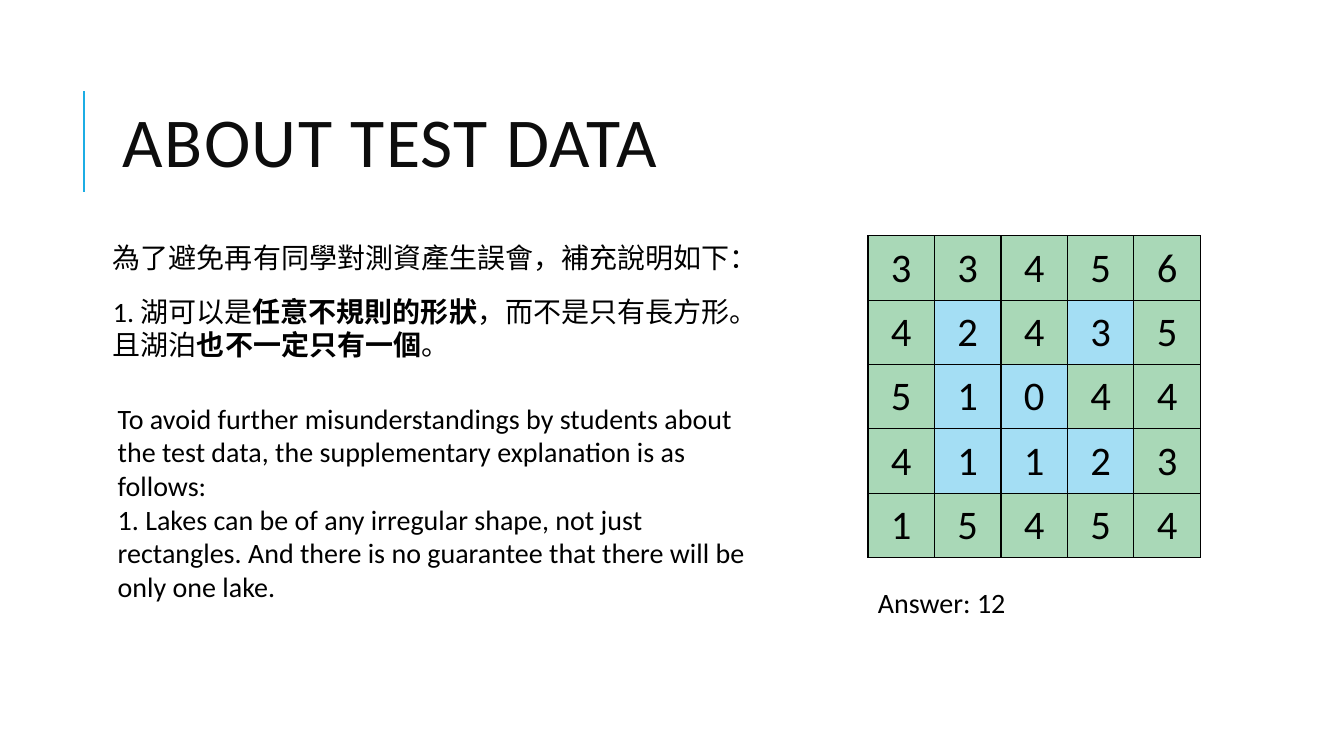
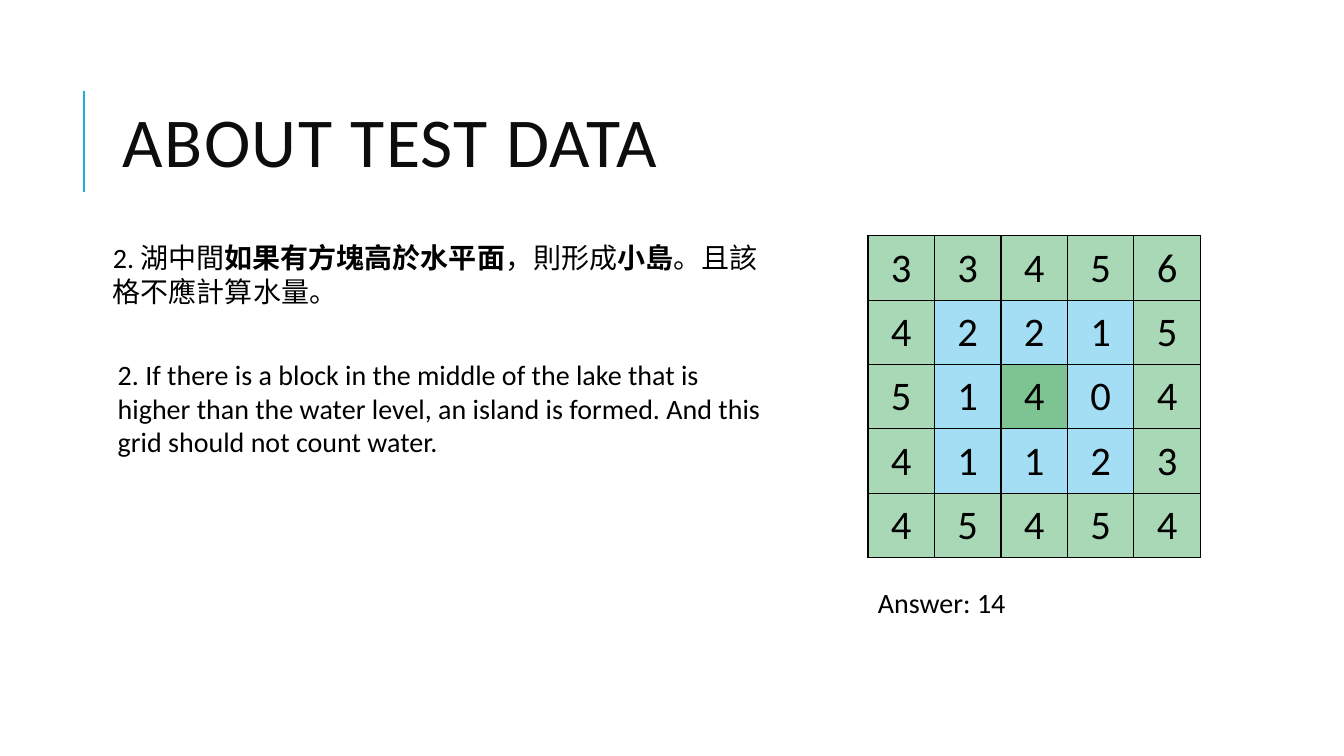
"""Build two slides that explain the lake test data."""
import dataclasses
import typing

import lxml.etree
import pptx
import pptx.dml.color
import pptx.enum.shapes
import pptx.enum.text
import pptx.oxml.ns
import pptx.slide
import pptx.table
import pptx.text.text
import pptx.util

Pt = pptx.util.Pt
Anchor = pptx.enum.text.MSO_ANCHOR
COLORS = {"accent": "1CADE4", "title": "0D0D0D", "text": "000000",
          "land": "A9D8B7", "water": "A4DEF4", "island": "7EC492"}
TERRAIN = {"L": "land", "W": "water", "I": "island"}
FONT = "Calibri"
LEFT, TEXT_WIDTH = 77, 480
GRID_LEFT, CONTENT_TOP = 620, 168.5
COLUMN_WIDTH, ROW_HEIGHT = 47.5, 45.95


@dataclasses.dataclass(frozen=True)
class Span:
    """A piece of text in one weight."""
    text: str
    bold: bool = False


Paragraph = list[Span]


@dataclasses.dataclass(frozen=True)
class TextBlock:
    """A text box with its place and its formats."""
    left: float
    top: float
    width: float
    height: float
    paragraphs: list[Paragraph]
    size: float = 20
    color: str = "text"
    spacing: int = 0
    frame_format: dict[str, typing.Any] = dataclasses.field(default_factory=dict)
    paragraph_format: dict[str, typing.Any] = dataclasses.field(default_factory=dict)


@dataclasses.dataclass(frozen=True)
class Example:
    """The content of one slide."""
    chinese: list[Paragraph]
    chinese_height: float
    english: list[str]
    english_top: float
    english_height: float
    heights: list[str]
    terrain: list[str]
    answer: int


MARGINS = {f"margin_{side}": Pt(3.6) for side in ("left", "top", "right", "bottom")}
CELL_FORMAT = {"margin_left": Pt(10.8), "margin_right": Pt(10.8),
               "margin_top": Pt(5.4), "margin_bottom": Pt(5.4),
               "vertical_anchor": Anchor.MIDDLE}
GROWING = {"auto_size": pptx.enum.text.MSO_AUTO_SIZE.SHAPE_TO_FIT_TEXT}
TITLE = TextBlock(80.6, 46, 765.5, 118, [[Span("ABOUT TEST DATA")]], size=50,
                  color="title", spacing=100,
                  frame_format={"vertical_anchor": Anchor.MIDDLE},
                  paragraph_format={"line_spacing": 0.8})

EXAMPLES = [
    Example(
        chinese=[
            [Span("為了避免再有同學對測資產生誤會，補充說明如下：")],
            [Span("1. 湖可以是"), Span("任意不規則的形狀", True),
             Span("，而不是只有長方形。且湖泊"), Span("也不一定只有一個", True), Span("。")],
        ],
        chinese_height=101.5,
        english=[
            "To avoid further misunderstandings by students about the test data, "
            "the supplementary explanation is as follows:",
            "1. Lakes can be of any irregular shape, not just rectangles. "
            "And there is no guarantee that there will be only one lake.",
        ],
        english_top=283,
        english_height=104.5,
        heights=["33456", "42435", "51044", "41123", "15454"],
        terrain=["LLLLL", "LWLWL", "LWWLL", "LWWWL", "LLLLL"],
        answer=12,
    ),
    Example(
        chinese=[
            [Span("2. 湖中間"), Span("如果有方塊高於水平面", True), Span("，則形成"),
             Span("小島", True), Span("。且該格不應計算水量。")],
        ],
        chinese_height=124.5,
        english=[
            "2. If there is a block in the middle of the lake that is higher than "
            "the water level, an island is formed. And this grid should not count water.",
        ],
        english_top=252,
        english_height=80,
        heights=["33456", "42215", "51404", "41123", "45454"],
        terrain=["LLLLL", "LWWWL", "LWIWL", "LWWWL", "LLLLL"],
        answer=14,
    ),
]


def rgb(name: str) -> pptx.dml.color.RGBColor:
    """Return a named colour."""
    return pptx.dml.color.RGBColor.from_string(COLORS[name])


def apply(target: typing.Any, values: dict[str, typing.Any]) -> None:
    """Set every attribute in values on the target."""
    for name, value in values.items():
        setattr(target, name, value)


def add_span(para: typing.Any, span: Span, size: float, color: str) -> typing.Any:
    """Append a formatted run to a paragraph and return it."""
    run = para.add_run()
    run.text = span.text
    apply(run.font, {"name": FONT, "size": Pt(size), "bold": span.bold})
    run.font.color.rgb = rgb(color)
    return run


def add_text(page: pptx.slide.Slide, block: TextBlock) -> None:
    """Draw a text block."""
    box = page.shapes.add_textbox(Pt(block.left), Pt(block.top),
                                  Pt(block.width), Pt(block.height))
    frame = box.text_frame
    apply(frame, {"word_wrap": True, **block.frame_format})
    for index, spans in enumerate(block.paragraphs):
        para = frame.add_paragraph() if index else frame.paragraphs[0]
        apply(para, block.paragraph_format)
        for span in spans:
            run = add_span(para, span, block.size, block.color)
            if block.spacing:
                run.font._element.set("spc", str(block.spacing))


def add_title(page: pptx.slide.Slide) -> None:
    """Draw the accent line and the shared title."""
    line = page.shapes.add_connector(pptx.enum.shapes.MSO_CONNECTOR.STRAIGHT,
                                     Pt(60), Pt(137), Pt(60), Pt(65))
    line.line.color.rgb = rgb("accent")
    line.line.width = Pt(1.5)
    lxml.etree.SubElement(line._element.spPr, pptx.oxml.ns.qn("a:effectLst"))
    add_text(page, TITLE)


def add_borders(cell: typing.Any) -> None:
    """Give a cell a thin line on all four sides."""
    properties = cell._tc.get_or_add_tcPr()
    for side in ("lnL", "lnR", "lnT", "lnB"):
        border = lxml.etree.SubElement(properties, pptx.oxml.ns.qn(f"a:{side}"),
                                       w=str(Pt(1)))
        fill = lxml.etree.SubElement(border, pptx.oxml.ns.qn("a:solidFill"))
        lxml.etree.SubElement(fill, pptx.oxml.ns.qn("a:srgbClr"), val=COLORS["text"])


def add_grid(page: pptx.slide.Slide, example: Example) -> None:
    """Draw the height map as a table coloured by terrain."""
    rows, columns = len(example.heights), len(example.heights[0])
    table = page.shapes.add_table(rows, columns, Pt(GRID_LEFT), Pt(CONTENT_TOP),
                                  Pt(columns * COLUMN_WIDTH),
                                  Pt(rows * ROW_HEIGHT)).table
    apply(table, {"first_row": False, "horz_banding": False})
    for column in table.columns:
        column.width = Pt(COLUMN_WIDTH)
    for row, heights, kinds in zip(table.rows, example.heights, example.terrain):
        row.height = Pt(ROW_HEIGHT)
        for cell, height, kind in zip(row.cells, heights, kinds):
            apply(cell, CELL_FORMAT)
            add_borders(cell)
            cell.fill.solid()
            cell.fill.fore_color.rgb = rgb(TERRAIN[kind])
            para = cell.text_frame.paragraphs[0]
            para.alignment = pptx.enum.text.PP_ALIGN.CENTER
            add_span(para, Span(height), 29, "text")


def add_example(deck: typing.Any, example: Example) -> None:
    """Add one slide with its explanation, grid and answer."""
    page = deck.slides.add_slide(deck.slide_layouts[6])
    add_title(page)
    add_text(page, TextBlock(LEFT, CONTENT_TOP, TEXT_WIDTH, example.chinese_height,
                             example.chinese, frame_format=MARGINS,
                             paragraph_format={"space_before": Pt(12),
                                               "space_after": Pt(2)}))
    add_grid(page, example)
    add_text(page, TextBlock(LEFT, example.english_top, TEXT_WIDTH,
                             example.english_height,
                             [[Span(text)] for text in example.english],
                             frame_format=GROWING))
    add_text(page, TextBlock(GRID_LEFT, 414.5, 125.5, 31.5,
                             [[Span(f"Answer: {example.answer}")]],
                             frame_format=GROWING))


def main() -> None:
    """Build and save the deck."""
    deck = pptx.Presentation()
    apply(deck, {"slide_width": Pt(960), "slide_height": Pt(540)})
    for example in EXAMPLES:
        add_example(deck, example)
    deck.save("out.pptx")


main()
